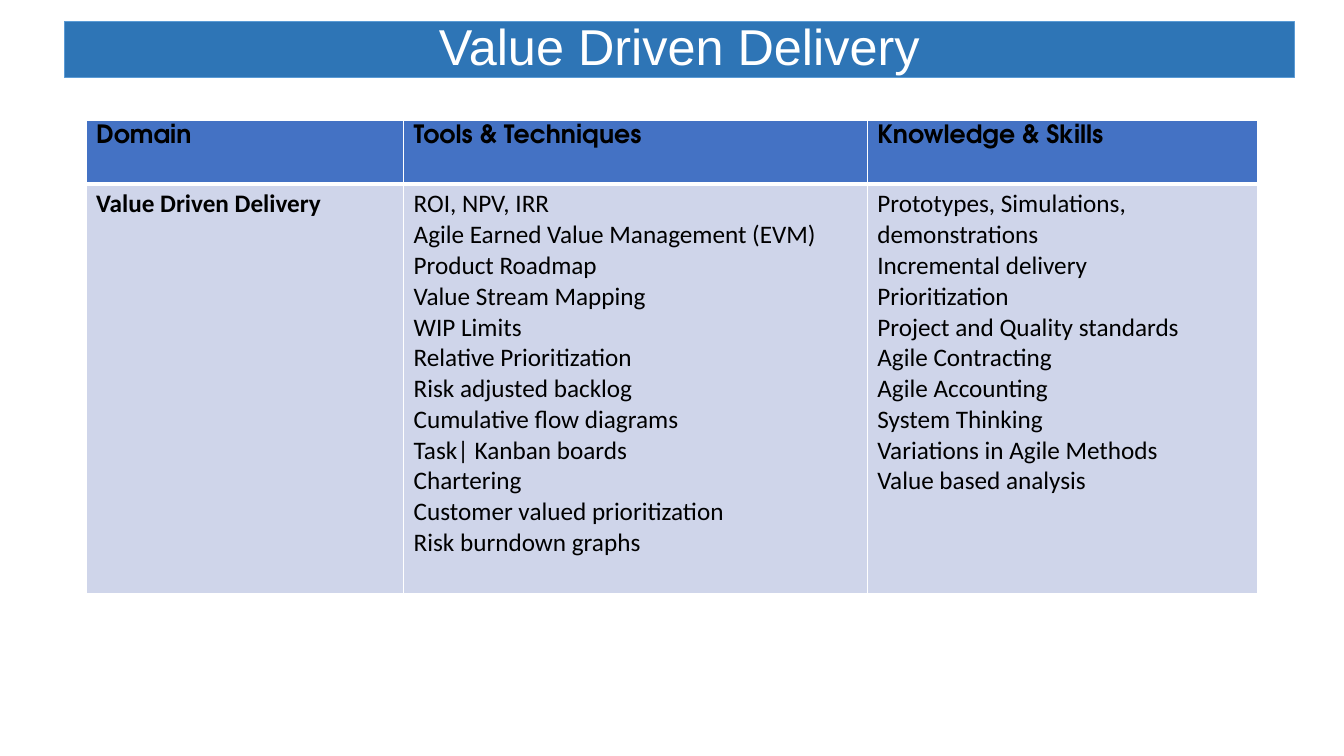
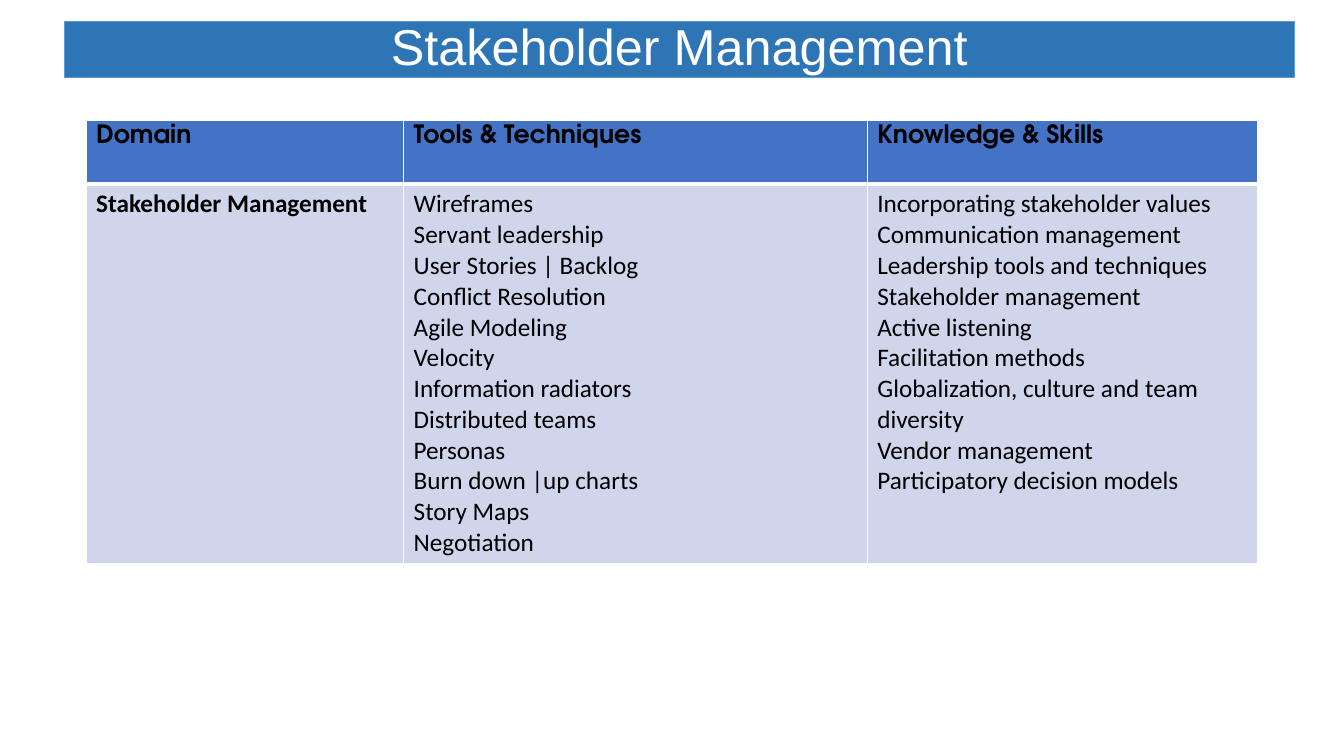
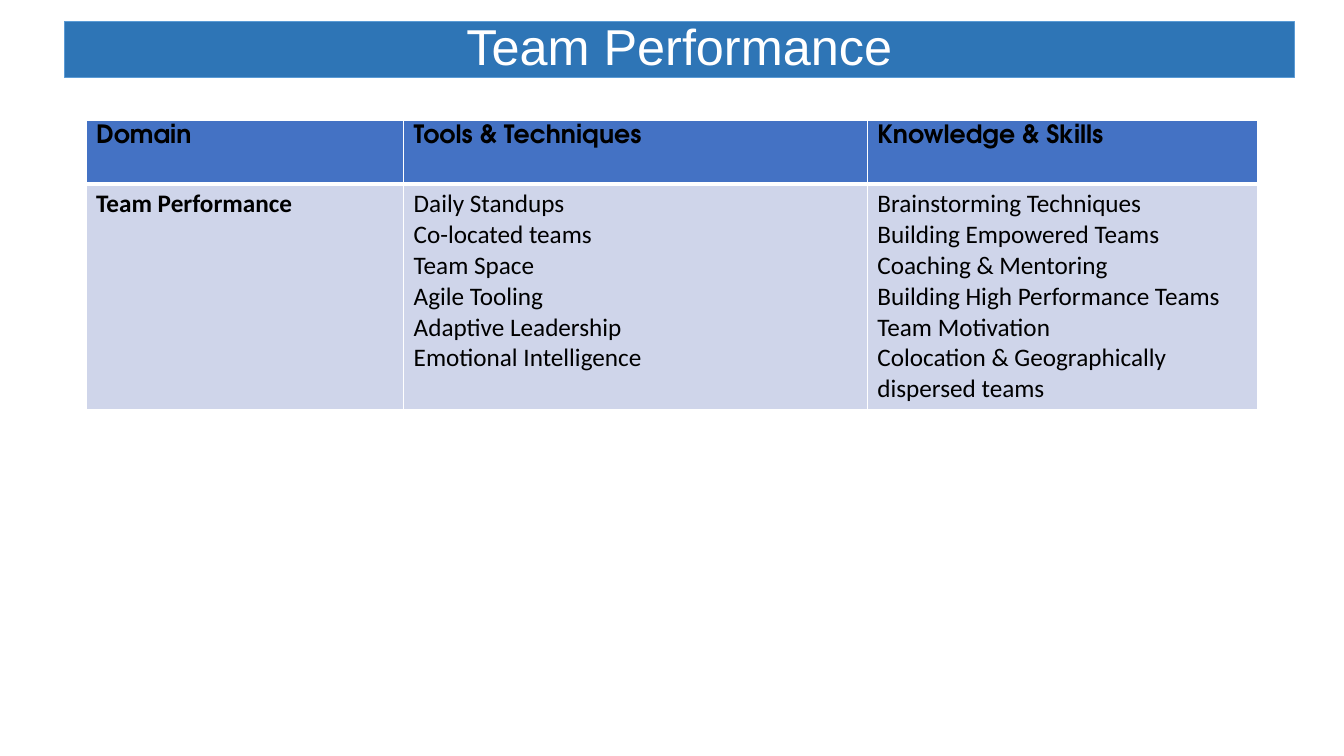
from lxml import etree
from pptx import Presentation
from pptx.dml.color import RGBColor
from pptx.enum.text import MSO_ANCHOR, MSO_AUTO_SIZE, PP_ALIGN
from pptx.oxml.ns import qn
from pptx.util import Pt

CENTER, LEFT = PP_ALIGN.CENTER, PP_ALIGN.LEFT
MIDDLE, NO_FIT = MSO_ANCHOR.MIDDLE, MSO_AUTO_SIZE.NONE

WHITE = RGBColor(0xFF, 0xFF, 0xFF)
BLACK = RGBColor(0x00, 0x00, 0x00)
BAND = RGBColor(0x2E, 0x75, 0xB6)
BAND_LINE = RGBColor(0x5B, 0x9B, 0xD5)
HEADER = RGBColor(0x44, 0x72, 0xC4)
BODY = RGBColor(0xCF, 0xD5, 0xEA)

TITLE_FONT, HEADER_FONT, BODY_FONT = "Arial", "TeX Gyre Adventor", "Calibri"
TITLE_BOX = (46, 15.2, 878.5, 40.3)
TABLE_LEFT, TABLE_TOP = 61.5, 85.7
COLUMNS = [("Domain", 226.8), ("Tools & Techniques", 331.2), ("Knowledge & Skills", 278.6)]
HEADER_HEIGHT, LINE_HEIGHT, CELL_PADDING = 45.7, 21.97, 7.2

DOMAINS = [
    {
        "name": "Value Driven Delivery",
        "lines": 13,
        "tools": [
            "ROI, NPV, IRR",
            "Agile Earned Value Management (EVM)",
            "Product Roadmap",
            "Value Stream Mapping",
            "WIP Limits",
            "Relative Prioritization",
            "Risk adjusted backlog",
            "Cumulative flow diagrams",
            "Task| Kanban boards",
            "Chartering",
            "Customer valued prioritization",
            "Risk burndown graphs",
        ],
        "skills": [
            "Prototypes, Simulations, demonstrations",
            "Incremental delivery",
            "Prioritization",
            "Project and Quality standards",
            "Agile Contracting",
            "Agile Accounting",
            "System Thinking",
            "Variations in Agile Methods",
            "Value based analysis",
        ],
    },
    {
        "name": "Stakeholder Management",
        "lines": 12,
        "tools": [
            "Wireframes",
            "Servant leadership",
            "User Stories | Backlog",
            "Conflict Resolution",
            "Agile Modeling",
            "Velocity",
            "Information radiators",
            "Distributed teams",
            "Personas",
            "Burn down |up charts",
            "Story Maps",
            "Negotiation",
        ],
        "skills": [
            "Incorporating stakeholder values",
            "Communication management",
            "Leadership tools and techniques",
            "Stakeholder management",
            "Active listening",
            "Facilitation methods",
            "Globalization, culture and team diversity",
            "Vendor management",
            "Participatory decision models",
        ],
    },
    {
        "name": "Team Performance",
        "lines": 7,
        "tools": [
            "Daily Standups",
            "Co-located teams",
            "Team Space",
            "Agile Tooling",
            "Adaptive Leadership",
            "Emotional Intelligence",
        ],
        "skills": [
            "Brainstorming Techniques",
            "Building Empowered Teams",
            "Coaching & Mentoring",
            "Building High Performance Teams",
            "Team Motivation",
            "Colocation & Geographically dispersed teams",
        ],
    },
]


def write(tf, lines, font=BODY_FONT, size=18, color=BLACK, bold=False, align=LEFT, spacing=None):
    for i, line in enumerate(lines):
        p = tf.add_paragraph() if i else tf.paragraphs[0]
        p.alignment = align
        p.line_spacing = spacing
        r = p.add_run()
        r.text = line
        r.font.name = font
        r.font.size = Pt(size)
        r.font.color.rgb = color
        r.font.bold = bold


def set_borders(cell, **widths):
    tc_pr = cell._tc.get_or_add_tcPr()
    for i, side in enumerate("LRTB"):
        ln = etree.Element(qn("a:ln" + side), w=str(Pt(widths.get(side, 1))))
        fill = etree.SubElement(ln, qn("a:solidFill"))
        etree.SubElement(fill, qn("a:srgbClr"), val=str(WHITE))
        tc_pr.insert(i, ln)


def add_title(s, text):
    title = s.shapes.title
    title.left, title.top, title.width, title.height = map(Pt, TITLE_BOX)
    title.fill.solid()
    title.fill.fore_color.rgb = BAND
    title.line.color.rgb = BAND_LINE
    title.line.width = Pt(1)
    tf = title.text_frame
    tf.auto_size = NO_FIT
    tf.vertical_anchor = MIDDLE
    write(tf, [text], font=TITLE_FONT, size=36, color=WHITE, align=CENTER, spacing=0.9)


def add_domain_table(s, domain):
    body_height = domain["lines"] * LINE_HEIGHT + CELL_PADDING
    width = sum(w for _, w in COLUMNS)
    table = s.shapes.add_table(2, len(COLUMNS), Pt(TABLE_LEFT), Pt(TABLE_TOP),
                               Pt(width), Pt(HEADER_HEIGHT + body_height)).table
    table.rows[0].height = Pt(HEADER_HEIGHT)
    table.rows[1].height = Pt(body_height)
    contents = [[domain["name"]], domain["tools"], domain["skills"]]
    for col, ((heading, col_width), lines) in enumerate(zip(COLUMNS, contents)):
        table.columns[col].width = Pt(col_width)
        head, body = table.cell(0, col), table.cell(1, col)
        for cell, color in ((head, HEADER), (body, BODY)):
            cell.fill.solid()
            cell.fill.fore_color.rgb = color
        set_borders(head, B=3)
        set_borders(body, T=3)
        write(head.text_frame, [heading], font=HEADER_FONT, bold=True)
        write(body.text_frame, lines, bold=col == 0)


def main():
    prs = Presentation()
    prs.slide_width, prs.slide_height = Pt(960), Pt(540)
    for domain in DOMAINS:
        s = prs.slides.add_slide(prs.slide_layouts[5])
        add_title(s, domain["name"])
        add_domain_table(s, domain)
    prs.save("out.pptx")


if __name__ == "__main__":
    main()
